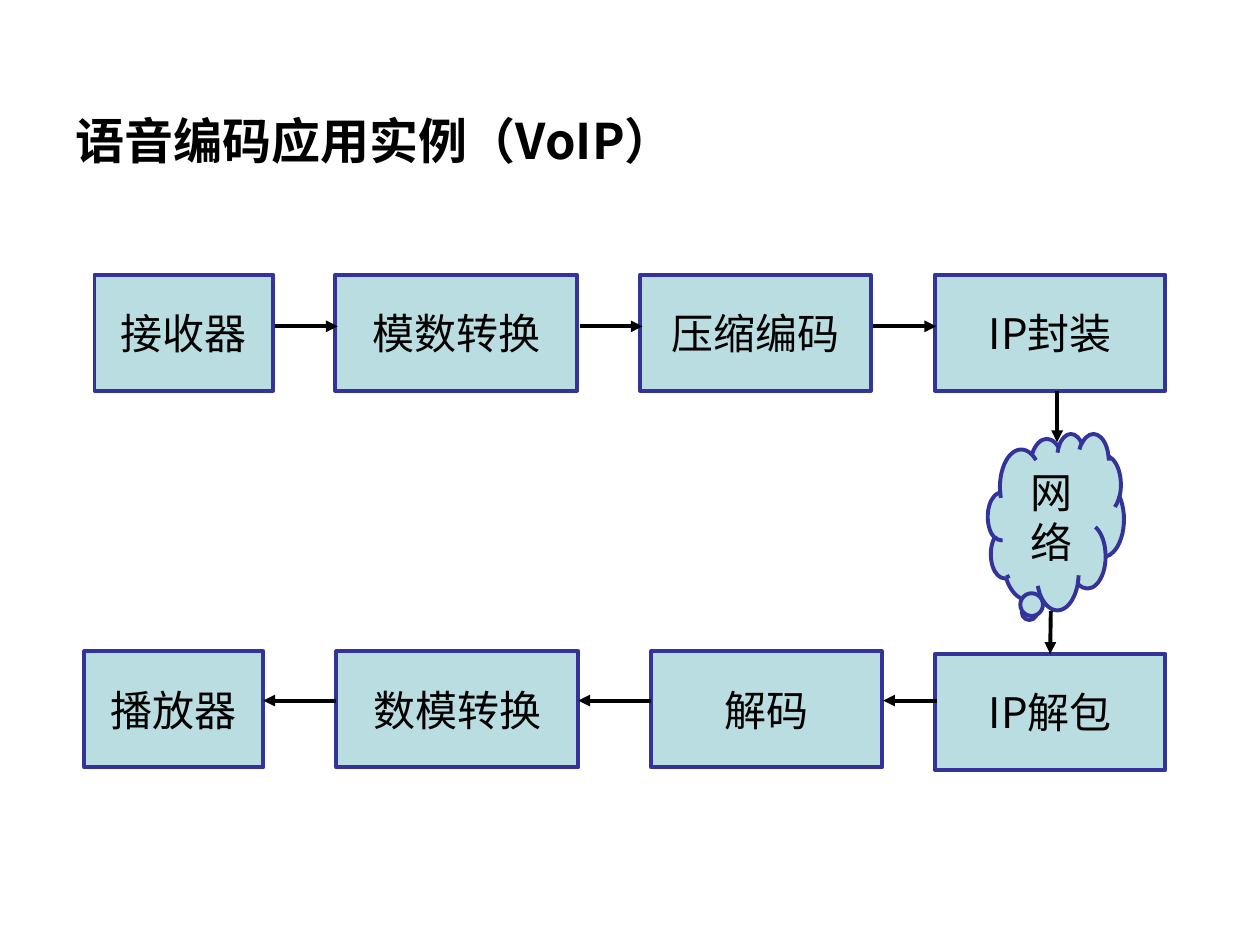
from lxml import etree
from pptx import Presentation
from pptx.dml.color import RGBColor
from pptx.enum.shapes import MSO_CONNECTOR, MSO_SHAPE
from pptx.enum.text import MSO_ANCHOR, MSO_AUTO_SIZE, PP_ALIGN
from pptx.oxml.ns import qn
from pptx.util import Inches, Pt

RECTANGLE = MSO_SHAPE.RECTANGLE
CLOUD = MSO_SHAPE.CLOUD_CALLOUT
STRAIGHT = MSO_CONNECTOR.STRAIGHT
TOP, MIDDLE = MSO_ANCHOR.TOP, MSO_ANCHOR.MIDDLE
LEFT, CENTER = PP_ALIGN.LEFT, PP_ALIGN.CENTER

FONT = "Noto Sans CJK SC"
COLORS = {"fill": "BADDE1", "border": "333399", "ink": "000000"}
LINE_WIDTH = Pt(2.25)
BOX_HEIGHT = 0.92
TOP_SIDE = 0

TITLE = "语音编码应用实例（VoIP）"
NETWORK = "网络"
# text, left, top, width
BOXES = [
    ("接收器", 0.75, 2.18, 1.42),
    ("模数转换", 2.66, 2.18, 1.92),
    ("压缩编码", 5.08, 2.18, 1.83),
    ("IP封装", 7.42, 2.18, 1.83),
    ("IP解包", 7.42, 5.19, 1.83),
    ("解码", 5.17, 5.17, 1.83),
    ("数模转换", 2.67, 5.17, 1.92),
    ("播放器", 0.67, 5.17, 1.42),
]
SEND_Y, RECEIVE_Y = 2.59, 5.56
SEND_ARROWS = [(2.18, 2.68), (4.6, 5.1), (6.93, 7.43)]
RECEIVE_ARROWS = [(7.44, 7.01), (5.17, 4.59), (2.67, 2.09)]


def color(name):
    return RGBColor.from_string(COLORS[name])


def format_text(text_frame, size, alignment, bold=False):
    for paragraph in text_frame.paragraphs:
        paragraph.alignment = alignment
        for run in paragraph.runs:
            run.font.name = FONT
            run.font.size = Pt(size)
            run.font.bold = bold
            run.font.color.rgb = color("ink")
            # East Asian characters take their own typeface element
            east_asian = etree.Element(qn("a:ea"), typeface=FONT)
            run.font._element.find(qn("a:latin")).addnext(east_asian)


def add_node(slide, preset, text, left, top, width, height, anchor, wrap):
    shape = slide.shapes.add_shape(
        preset, Inches(left), Inches(top), Inches(width), Inches(height))
    shape.shadow.inherit = False
    shape.fill.solid()
    shape.fill.fore_color.rgb = color("fill")
    shape.line.color.rgb = color("border")
    shape.line.width = LINE_WIDTH
    shape.text_frame.text = text
    shape.text_frame.word_wrap = wrap
    shape.text_frame.vertical_anchor = anchor
    format_text(shape.text_frame, 24, CENTER)
    return shape


def add_arrow(slide, start, end):
    connector = slide.shapes.add_connector(
        STRAIGHT, *(Inches(value) for value in start + end))
    connector.line.color.rgb = color("ink")
    connector.line.width = LINE_WIDTH
    etree.SubElement(connector.line._get_or_add_ln(), qn("a:tailEnd"), type="triangle")
    etree.SubElement(connector._element.spPr, qn("a:effectLst"))
    return connector


def add_title(slide):
    title = slide.shapes.title
    title.left, title.top = Inches(0.5), Inches(0.83)
    title.width, title.height = Inches(5.42), Inches(0.57)
    title.text_frame.text = TITLE
    title.text_frame.word_wrap = True
    title.text_frame.auto_size = MSO_AUTO_SIZE.NONE
    title.text_frame.vertical_anchor = TOP
    format_text(title.text_frame, 28, LEFT, bold=True)


def main():
    presentation = Presentation()
    presentation.slide_width, presentation.slide_height = Inches(10), Inches(7.5)
    slide = presentation.slides.add_slide(presentation.slide_layouts[5])
    add_title(slide)

    boxes = {}
    for text, left, top, width in BOXES:
        boxes[text] = add_node(
            slide, RECTANGLE, text, left, top, width, BOX_HEIGHT, MIDDLE, False)

    for y, arrows in ((SEND_Y, SEND_ARROWS), (RECEIVE_Y, RECEIVE_ARROWS)):
        for start_x, end_x in arrows:
            add_arrow(slide, (start_x, y), (end_x, y))

    add_arrow(slide, (8.39, 3.1), (8.39, 3.51))
    cloud = add_node(slide, CLOUD, NETWORK, 7.84, 3.44, 1.08, 1.4, TOP, True)
    cloud.adjustments[0] = -0.196
    cloud.adjustments[1] = 0.518
    network_exit = add_arrow(slide, (8.34, 4.85), (8.34, 5.19))
    network_exit.end_connect(boxes["IP解包"], TOP_SIDE)

    presentation.save("out.pptx")


if __name__ == "__main__":
    main()
